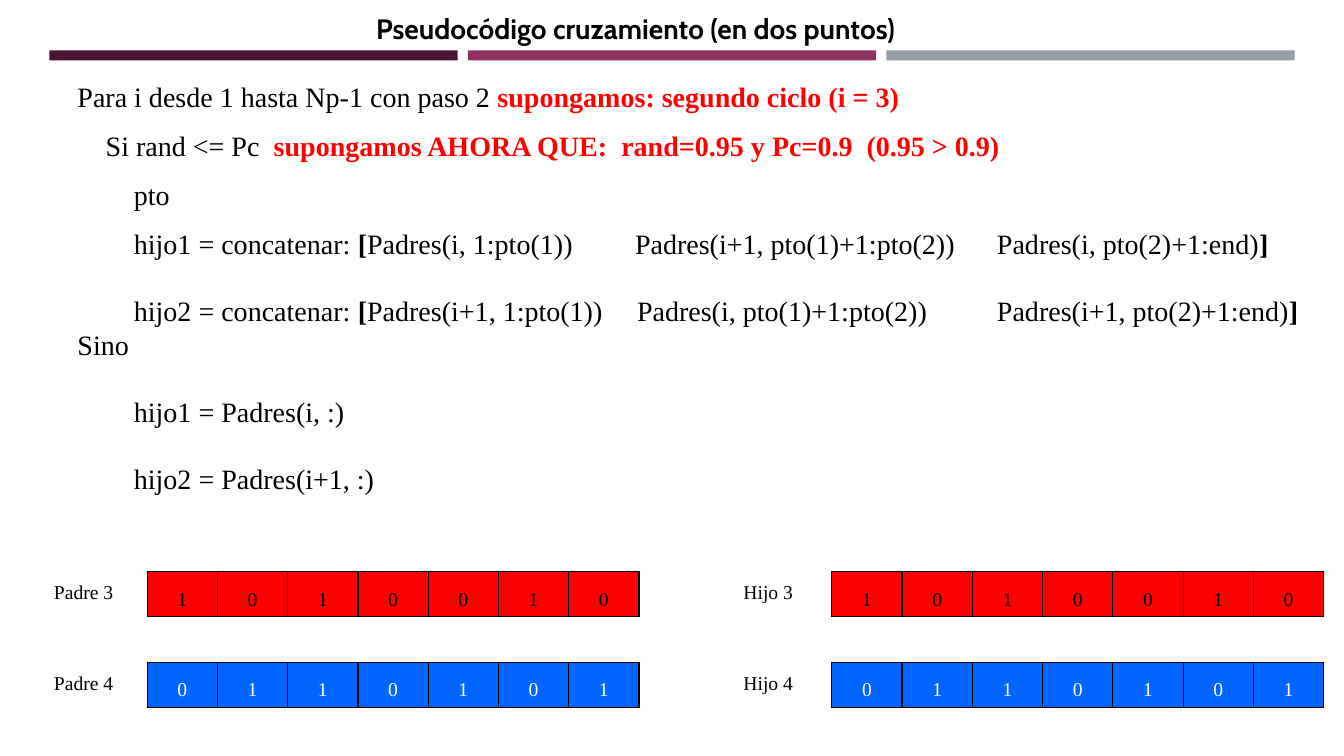
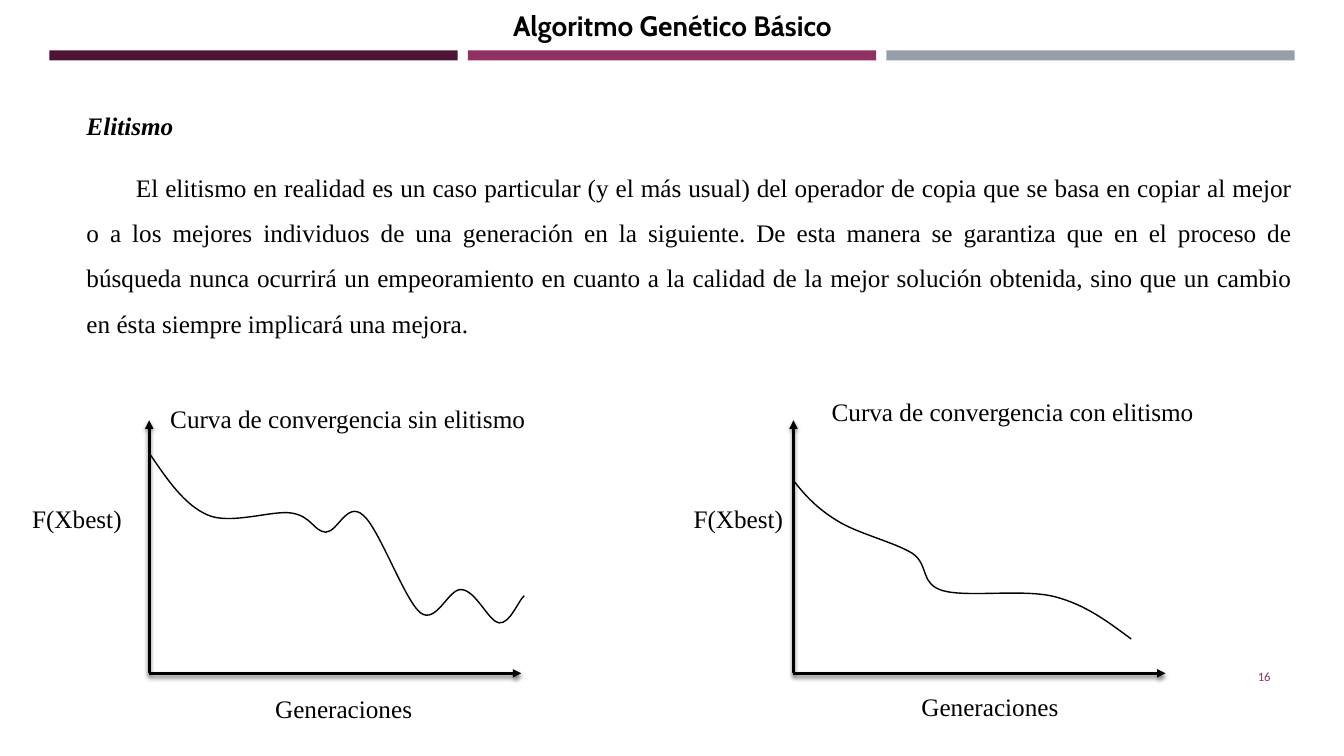
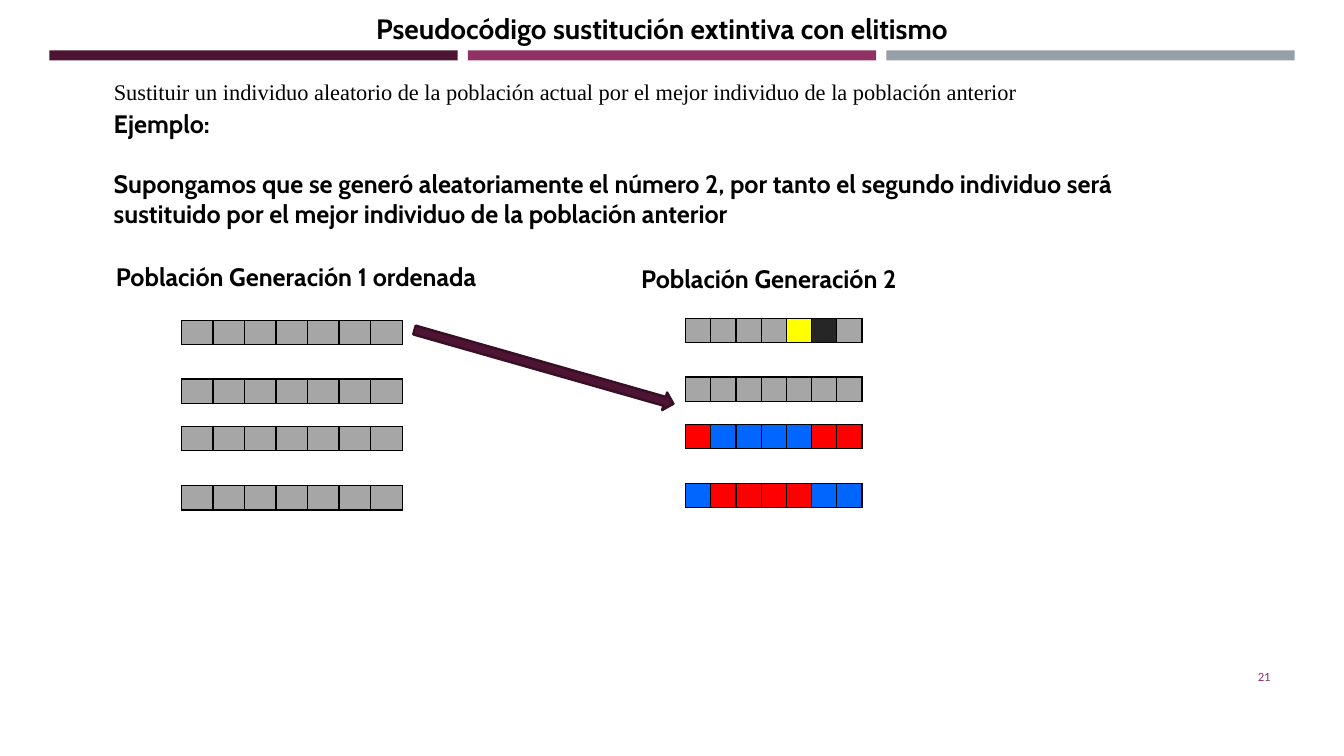
from lxml.etree import SubElement
from pptx import Presentation
from pptx.dml.color import RGBColor
from pptx.enum.shapes import MSO_CONNECTOR, MSO_SHAPE
from pptx.enum.text import MSO_ANCHOR, MSO_AUTO_SIZE, PP_ALIGN
from pptx.oxml.ns import qn
from pptx.util import Inches, Pt

INK = {
    "black": "000000", "white": "FFFFFF", "red": "FF0000", "blue": "0066FF",
    "gray": "A6A6A6", "yellow": "FFFF00", "dark": "262626",
    "plum": "4D1434", "rose": "903163", "steel": "969FA7", "edge": "390F26",
}
GENE = {"R": "red", "B": "blue", "G": "gray", "Y": "yellow", "K": "dark"}
SERIF, SANS, SMALL = "Times New Roman", "Cabin", "Calibri"
PLAIN = "{2D5ABB26-0587-4C30-8999-92F81FD0307C}"


def tint(name):
    return RGBColor.from_string(INK[name])


def inch(*nums):
    return [Inches(n) for n in nums]


def add(par, words, size, font=SERIF, color="black", bold=False, slant=False):
    run = par.add_run()
    run.text = words
    face = run.font
    face.size, face.name = Pt(size), font
    face.bold, face.italic = bold, slant
    face.color.rgb = tint(color)


def block(slide, box, wrap=True):
    frame = slide.shapes.add_textbox(*inch(*box)).text_frame
    frame.word_wrap = wrap
    return frame


def label(slide, box, words, wrap=True, **look):
    frame = block(slide, box, wrap)
    frame.auto_size = MSO_AUTO_SIZE.SHAPE_TO_FIT_TEXT
    add(frame.paragraphs[0], words, 18, **look)


def bands(slide, layout):
    for n, color in enumerate(("plum", "rose", "steel")):
        bar = slide.shapes.add_shape(
            MSO_SHAPE.RECTANGLE, *inch(0.49 + 4.15 * n, 0.5, 4.05, 0.1))
        bar.shadow.inherit = False
        bar.fill.solid()
        bar.fill.fore_color.rgb = tint(color)
        bar.line.fill.background()
        layout.shapes.element.append(bar.element)


def title(slide, words, box=(3.13, 0.04, 7.54, 1.38), indent=0.5, align=PP_ALIGN.LEFT):
    head = slide.shapes.title
    head.left, head.top, head.width, head.height = inch(*box)
    frame = head.text_frame
    frame.auto_size = MSO_AUTO_SIZE.NONE
    frame.vertical_anchor = MSO_ANCHOR.TOP
    par = frame.paragraphs[0]
    par.alignment, par.line_spacing = align, 1.07
    par._p.get_or_add_pPr().set("indent", str(Inches(indent)))
    add(par, words, 20, SANS, bold=True)


def number(slide, words):
    frame = block(slide, (11.55, 6.51, 1.15, 0.4))
    frame.vertical_anchor = MSO_ANCHOR.MIDDLE
    par = frame.paragraphs[0]
    par.alignment = PP_ALIGN.RIGHT
    add(par, words, 9, SMALL, "rose")


def tabs(par, stops):
    props = par._p.get_or_add_pPr()
    items = SubElement(props, qn("a:tabLst"))
    for stop in stops:
        SubElement(items, qn("a:tab"), pos=str(Inches(stop)), algn="l")


def border(cell, sides):
    props = cell._tc.get_or_add_tcPr()
    for side in sides:
        line = SubElement(props, qn("a:ln" + side), w=str(Pt(1)))
        paint = SubElement(line, qn("a:solidFill"))
        SubElement(paint, qn("a:srgbClr"), val=INK["black"])


def fill(cell, words="", color=None, sides="", mid=True):
    cell.margin_top = cell.margin_bottom = 0
    cell.margin_left = cell.margin_right = Inches(0.07)
    border(cell, sides)
    if color:
        cell.fill.solid()
        cell.fill.fore_color.rgb = tint(color)
    else:
        cell.fill.background()
    par = cell.text_frame.paragraphs[0]
    if words:
        if mid:
            cell.vertical_anchor = MSO_ANCHOR.MIDDLE
        par.alignment, par.line_spacing, par.space_after = PP_ALIGN.CENTER, 1.5, Pt(12)
        add(par, words, 14, color="white" if color == "blue" else "black")
    else:
        SubElement(par._p, qn("a:endParaRPr"), sz="600")


def genes(slide, spot, span, heights, rows, lead=0):
    widths = [lead] * bool(lead) + [(span - lead) / 7] * 7
    frame = slide.shapes.add_table(
        len(heights), len(widths), *inch(*spot, span, sum(heights)))
    frame.element.find(".//" + qn("a:tableStyleId")).text = PLAIN
    table = frame.table
    table.first_row = table.horz_banding = False
    for col, width in zip(table.columns, widths):
        col.width = Inches(width)
    for row, height in zip(table.rows, heights):
        row.height = Inches(height)
    first = len(widths) - 7
    for r in range(len(heights)):
        gap = r % 2
        name, bits, code = ("", "", "") if gap else rows[r // 2]
        if first:
            fill(table.cell(r, 0), name, "white", "" if gap else "R", False)
        for n in range(7):
            fill(table.cell(r, first + n), bits[n:n + 1], GENE.get(code[n:n + 1]),
                 "TB" if gap else "LRTB")
        if gap:
            table.cell(r, first).merge(table.cell(r, first + 6))


def axis(slide, x, y, right, up):
    line = slide.shapes.add_connector(
        MSO_CONNECTOR.STRAIGHT, *inch(x, y, x + right, y - up))
    line.line.color.rgb = tint("black")
    line.line.width = Pt(2)
    SubElement(line.line._get_or_add_ln(), qn("a:tailEnd"), type="triangle")
    glow = SubElement(line._element.spPr, qn("a:effectLst"))
    shade = SubElement(glow, qn("a:outerShdw"), blurRad=str(Pt(3)),
                       dist=str(Pt(2)), dir="5400000", rotWithShape="0")
    color = SubElement(shade, qn("a:srgbClr"), val=INK["black"])
    SubElement(color, qn("a:alpha"), val="55000")


def curve(slide, x, y, start, bends):
    pen = slide.shapes.build_freeform(*inch(x + start[0], y - start[1]))
    pen.add_line_segments([inch(x + b[4], y - b[5]) for b in bends], close=False)
    shape = pen.convert_to_shape()
    legs = list(shape.element.iter(qn("a:lnTo")))
    for leg, bend in zip(legs, bends):
        leg.tag = qn("a:cubicBezTo")
        leg.remove(leg[0])
        for dx, dy in zip(bend[::2], bend[1::2]):
            SubElement(leg, qn("a:pt"), x=str(Inches(x + dx) - shape.left),
                       y=str(Inches(y - dy) - shape.top))
    shape.shadow.inherit = False
    shape.fill.background()
    shape.line.color.rgb = tint("black")
    shape.line.width = Pt(1)


def plot(slide, x, y, name, spots, start, bends):
    axis(slide, x, y, 0, 2.51)
    axis(slide, x, y, 3.69, 0)
    curve(slide, x, y, start, bends)
    words = (("F(Xbest)", 1.09), ("Generaciones", 1.61), (name, 3.8))
    for (text, width), (dx, dy) in zip(words, spots):
        label(slide, (x + dx, y + dy, width, 0.4), text, False)


def cross(slide):
    title(slide, "Pseudocódigo cruzamiento (en dos puntos)")
    frame = block(slide, (0.67, 0.74, 12.44, 4.93))
    lines = (
        (0, (("Para i desde 1 hasta Np-1 con paso 2 ", ""),
             ("supongamos: segundo ciclo (i = 3)", "red"))),
        (11, (("\tSi rand <= Pc  ", ""),
              ("supongamos AHORA QUE:  rand=0.95 y Pc=0.9  (0.95 > 0.9)", "red"))),
        (11, (("\t\tpto", ""),)),
        (11, (("\t\thijo1 = concatenar: ", ""), ("[", "black"),
              ("Padres(i, 1:pto(1))\tPadres(i+1, pto(1)+1:pto(2))"
               "\tPadres(i, pto(2)+1:end)", ""), ("]", "black"))),
        (24, (("\t\thijo2 = concatenar: ", ""), ("[", "black"),
              ("Padres(i+1, 1:pto(1))\tPadres(i, pto(1)+1:pto(2))"
               "\tPadres(i+1, pto(2)+1:end)", ""), ("]", "black"))),
        (0, (("Sino", ""),)),
        (24, (("\t\thijo1 = Padres(i, :)", ""),)),
        (24, (("\t\thijo2 = Padres(i+1, :)", ""),)),
    )
    for n, (gap, runs) in enumerate(lines):
        par = frame.add_paragraph() if n else frame.paragraphs[0]
        par.space_before = Pt(gap)
        tabs(par, (0.28, 0.56, 5.55 if n == 4 else 5.53, 9.12))
        for words, strong in runs:
            add(par, words, 20, color=strong or "black", bold=bool(strong))
    for x, kin in ((0.2, "Padre"), (6.99, "Hijo")):
        genes(slide, (x, 5.67), 6.14, [0.45] * 3,
              ((kin + " 3", "1010010", "R" * 7), (kin + " 4", "0110101", "B" * 7)), 1.26)


def elite(slide):
    title(slide, "Algoritmo Genético Básico", (1.59, 0.01, 10.16, 0.44), 0,
          PP_ALIGN.CENTER)
    number(slide, "16")
    frame = block(slide, (0.76, 0.89, 12.16, 2.49))
    head, body = frame.paragraphs[0], frame.add_paragraph()
    for par in (head, body):
        par.line_spacing, par.space_after = 1.5, Pt(12)
    add(head, "Elitismo", 18, bold=True, slant=True)
    body.alignment = PP_ALIGN.JUSTIFY
    body._p.get_or_add_pPr().set("indent", str(Inches(0.49)))
    add(body, "El elitismo en realidad es un caso particular (y el más usual) del "
        "operador de copia que se basa en copiar al mejor o a los mejores individuos "
        "de una generación en la siguiente. De esta manera se garantiza que en el "
        "proceso de búsqueda nunca ocurrirá un empeoramiento en cuanto a la calidad "
        "de la mejor solución obtenida, sino que un cambio en ésta siempre implicará "
        "una mejora. ", 18)
    plot(slide, 1.48, 6.68, "Curva de convergencia sin elitismo",
         ((-1.26, -1.74), (1.15, 0.15), (0.11, -2.73)), (0.01, 2.17), (
             (0.18, 1.92, 0.35, 1.67, 0.58, 1.57), (0.81, 1.47, 1.22, 1.62, 1.41, 1.59),
             (1.61, 1.56, 1.63, 1.41, 1.75, 1.4), (1.87, 1.4, 1.96, 1.71, 2.12, 1.57),
             (2.28, 1.44, 2.53, 0.73, 2.69, 0.6), (2.85, 0.48, 2.97, 0.85, 3.1, 0.83),
             (3.24, 0.82, 3.37, 0.51, 3.47, 0.5), (3.58, 0.49, 3.66, 0.72, 3.72, 0.77)))
    plot(slide, 7.87, 6.68, "Curva de convergencia con elitismo",
         ((-1.09, -1.74), (1.17, 0.13), (0.28, -2.8)), (0.01, 1.9), (
             (0.12, 1.76, 0.24, 1.63, 0.44, 1.51), (0.63, 1.39, 1, 1.3, 1.18, 1.19),
             (1.35, 1.07, 1.25, 0.89, 1.48, 0.82), (1.72, 0.75, 2.28, 0.84, 2.59, 0.76),
             (2.9, 0.68, 3.12, 0.51, 3.35, 0.34)))


def swap(slide):
    title(slide, "Pseudocódigo sustitución extintiva con elitismo")
    number(slide, "21")
    lead = block(slide, (1.03, 0.45, 10.89, 0.64))
    lead.vertical_anchor = MSO_ANCHOR.BOTTOM
    add(lead.paragraphs[0], "Sustituir un individuo aleatorio de la población actual "
        "por el mejor individuo de la población anterior", 16)
    frame = block(slide, (1.03, 1.03, 11.13, 1.31))
    add(frame.paragraphs[0], "Ejemplo:", 18, SANS, bold=True)
    par = frame.add_paragraph()
    par.space_before = Pt(21)
    add(par, "Supongamos que se generó aleatoriamente el número 2, por tanto el segundo "
        "individuo será sustituido por el mejor individuo de la población anterior",
        18, SANS, bold=True)
    gray = "G" * 7
    groups = (
        ((1.05, 2.54, 4.47, 0.4), "Población Generación 1 ordenada",
         (1.8, 3.18), 2.19, (gray,) * 4),
        ((6.26, 2.56, 3.09, 0.4), "Población Generación 2",
         (6.8, 3.16), 1.75, ("GGGGYKG", gray, "RBBBBRR", "BRRRRBB")),
    )
    for box, name, spot, span, codes in groups:
        label(slide, box, name, font=SANS, bold=True)
        genes(slide, spot, span, (0.24, 0.34, 0.24, 0.23, 0.24, 0.35, 0.24),
              [("", "", code) for code in codes])
    arrow = slide.shapes.add_shape(MSO_SHAPE.RIGHT_ARROW, *inch(4.06, 3.55, 2.67, 0.18))
    arrow.rotation = 15.9
    arrow.shadow.inherit = False
    arrow.fill.solid()
    arrow.fill.fore_color.rgb = tint("plum")
    arrow.line.color.rgb = tint("edge")
    arrow.line.width = Pt(1.75)


def main():
    deck = Presentation()
    deck.slide_width, deck.slide_height = inch(13.33, 7.5)
    layout = deck.slide_layouts[5]
    for n, draw in enumerate((cross, elite, swap)):
        slide = deck.slides.add_slide(layout)
        if not n:
            bands(slide, layout)
        draw(slide)
    deck.save("out.pptx")


if __name__ == "__main__":
    main()
